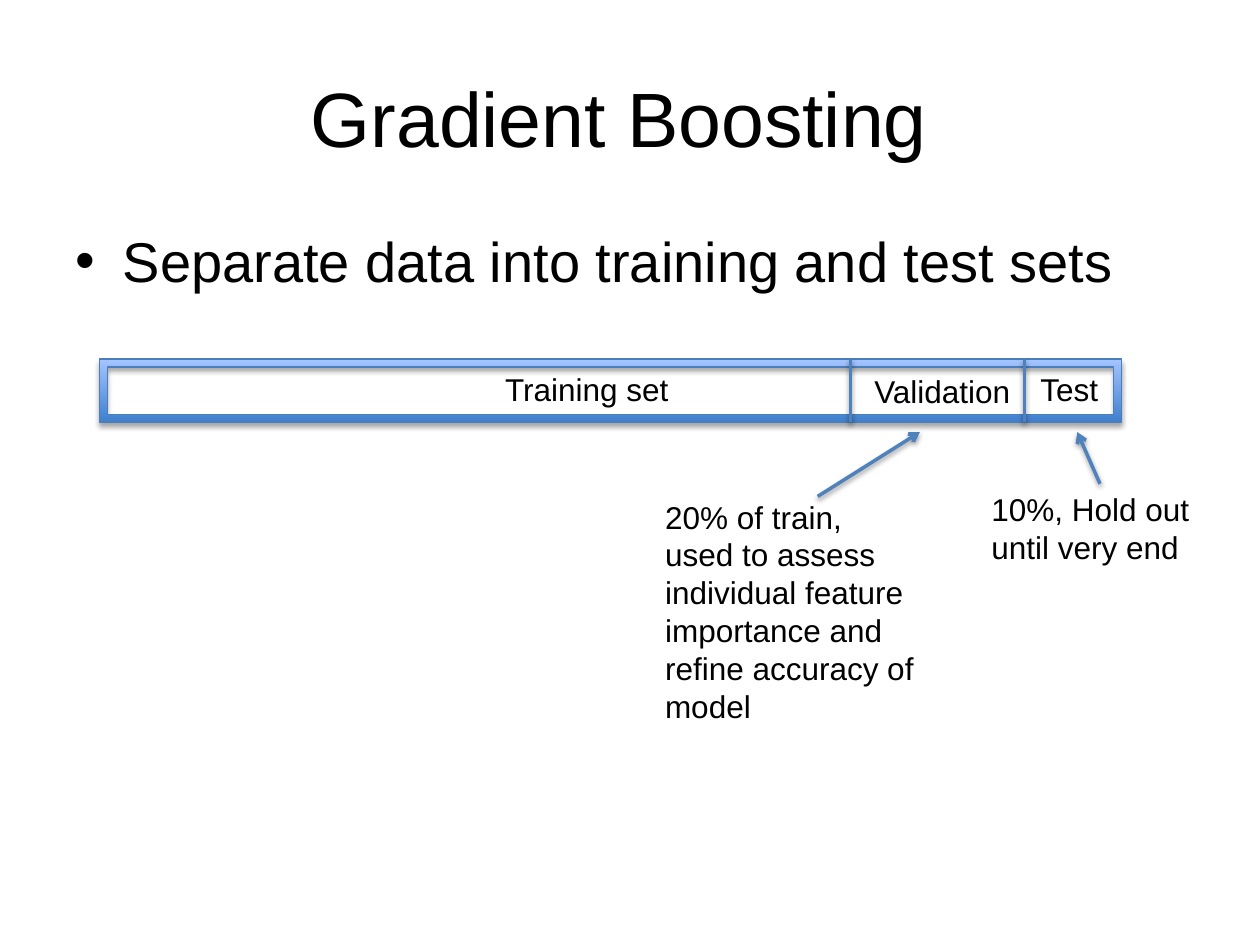
"""Build a slide on splitting data for gradient boosting."""
from lxml.etree import SubElement
from pptx import Presentation
from pptx.dml.color import RGBColor
from pptx.enum.shapes import MSO_CONNECTOR, MSO_SHAPE
from pptx.enum.text import MSO_ANCHOR, MSO_AUTO_SIZE, PP_ALIGN
from pptx.oxml.ns import qn
from pptx.util import Inches, Pt


def color(value):
    return RGBColor.from_string(value)


def cast_shadow(item, distance, opacity):
    effects = SubElement(item._element.spPr, qn("a:effectLst"))
    shadow = SubElement(effects, qn("a:outerShdw"), blurRad=str(Pt(3.1)),
                        dist=str(Pt(distance)), dir="5400000", rotWithShape="0")
    black = SubElement(shadow, qn("a:srgbClr"), val="000000")
    SubElement(black, qn("a:alpha"), val=str(opacity * 1000))


deck = Presentation()
deck.slide_width, deck.slide_height = Inches(10), Inches(7.5)
slide = deck.slides.add_slide(deck.slide_layouts[1])

headline, point = slide.placeholders
for holder, wording, top, height, size in [
    (headline, "Gradient Boosting ", 0.3, 1.25, 44),
    (point, "Separate data into training and test sets", 1.75, 0.69, 32),
]:
    holder.left, holder.top = Inches(0.5), Inches(top)
    holder.width, holder.height = Inches(9), Inches(height)
    holder.text_frame.text = wording
    font = holder.text_frame.paragraphs[0].font
    font.name, font.size, font.color.rgb = "Arial", Pt(size), color("000000")
headline.text_frame.vertical_anchor = MSO_ANCHOR.MIDDLE
headline.text_frame.paragraphs[0].alignment = PP_ALIGN.CENTER

bar_top, bar_height = 2.85, 0.5
bar_bottom = bar_top + bar_height
data_bar = slide.shapes.add_shape(MSO_SHAPE.FRAME, Inches(0.79), Inches(bar_top),
                                  Inches(8.11), Inches(bar_height))
data_bar.fill.gradient()
data_bar.fill.gradient_angle = 90
for stop, shade, position in zip(data_bar.fill.gradient_stops, ("3F80CE", "A4C4FF"), (0, 1)):
    stop.color.rgb, stop.position = color(shade), position
data_bar.line.color.rgb = color("4B7EBC")
data_bar.line.width = Pt(0.75)
cast_shadow(data_bar, 1.8, 35)

dividers = [(x, bar_top, x, bar_bottom, False) for x in (6.75, 8.13)]
pointers = [(8.73, 3.84, 8.55, 3.43, True), (6.49, 3.94, 7.3, 3.43, True)]
for *ends, has_arrow in dividers + pointers:
    stroke = slide.shapes.add_connector(MSO_CONNECTOR.STRAIGHT, *map(Inches, ends))
    stroke.line.color.rgb = color("4F81BD")
    stroke.line.width = Pt(2)
    if has_arrow:
        SubElement(stroke.line._get_or_add_ln(), qn("a:tailEnd"), type="arrow")
    cast_shadow(stroke, 1.6, 38)

validation_use = ["20% of train,", "used to assess", "individual feature",
                  "importance and", "refine accuracy of ", "model"]
for left, top, width, height, lines in [
    (3.91, 2.89, 1.51, 0.4, ["Training set "]),
    (6.84, 2.9, 1.29, 0.4, ["Validation"]),
    (8.16, 2.89, 0.66, 0.4, ["Test"]),
    (7.77, 3.84, 1.79, 0.71, ["10%, Hold out ", "until very end"]),
    (5.18, 3.9, 2.19, 1.92, validation_use),
]:
    label = slide.shapes.add_textbox(*map(Inches, (left, top, width, height))).text_frame
    label.word_wrap = False
    label.auto_size = MSO_AUTO_SIZE.SHAPE_TO_FIT_TEXT
    label.text = "\n".join(lines)
    for paragraph in label.paragraphs:
        font = paragraph.font
        font.name, font.size, font.color.rgb = "Arial", Pt(18), color("000000")

deck.save("out.pptx")
